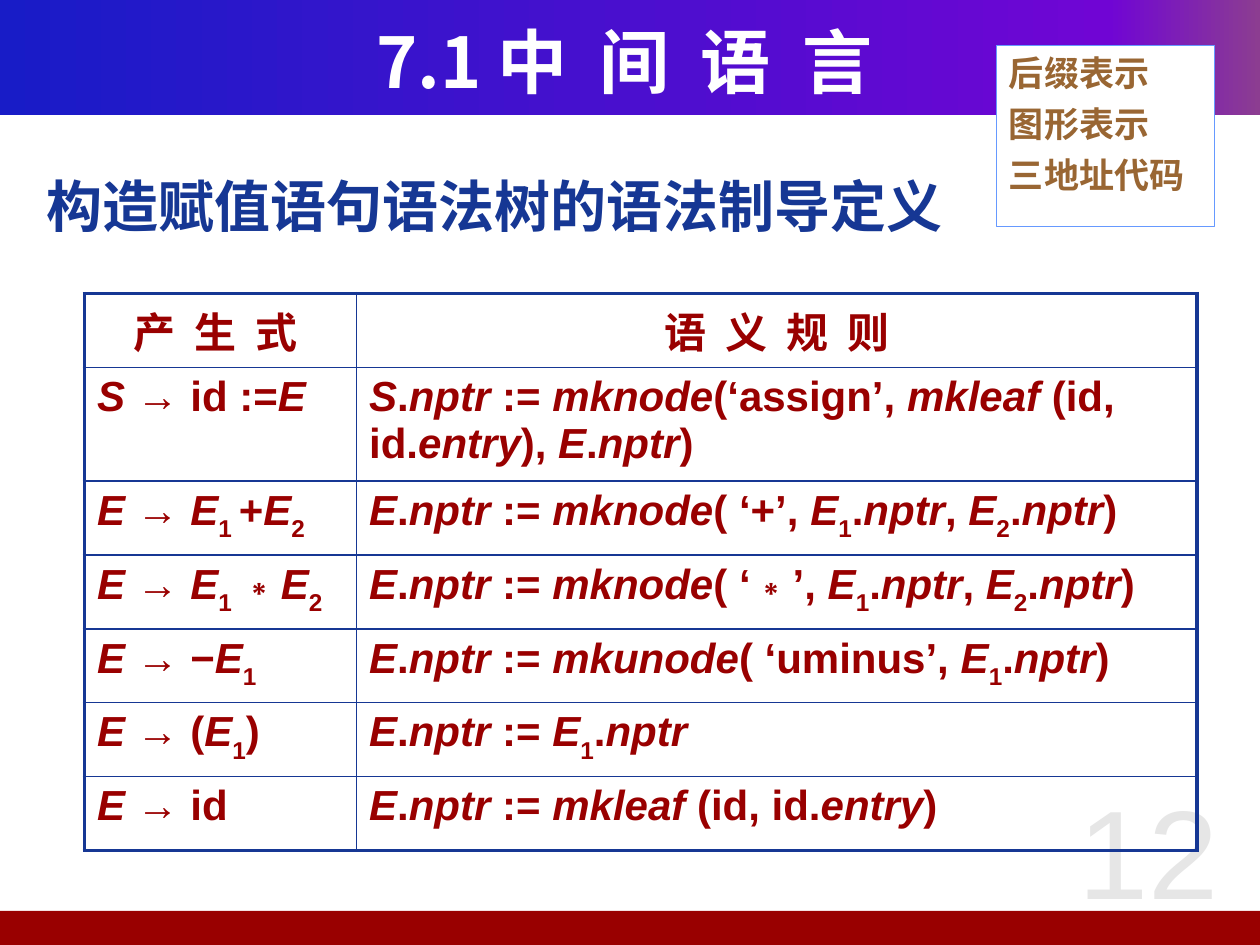
from copy import deepcopy
from lxml import etree
from pptx import Presentation
from pptx.dml.color import RGBColor
from pptx.enum.shapes import MSO_SHAPE
from pptx.enum.text import MSO_ANCHOR, PP_ALIGN
from pptx.oxml.ns import qn
from pptx.util import Inches, Pt

RECT = MSO_SHAPE.RECTANGLE
TOP, MIDDLE = MSO_ANCHOR.TOP, MSO_ANCHOR.MIDDLE
LEFT, CENTER = PP_ALIGN.LEFT, PP_ALIGN.CENTER
CJK, LATIN, SIDE = "Noto Sans CJK SC", "Arial", "Lato"
C = {"white": "FFFFFF", "navy": "163794", "red": "990000", "brown": "996633",
     "grey": "E6E6E6", "sky": "6699FF",
     "band1": "181CC7", "band2": "7005D4", "band3": "8C3D91"}

prs = Presentation()
prs.slide_width, prs.slide_height = Inches(10), Inches(7.5)
U = prs.slide_width // 100  # the slide is a grid of 100 columns by 75 rows
s = prs.slides.add_slide(prs.slide_layouts[5])


def grid(*cells):
    return [int(c * U) for c in cells]


def write(p, text, size, font, color, bold=True, align=LEFT):
    """Add runs: /slashes/ set italics, _underscores_ set subscripts."""
    p.alignment = align
    for i, part in enumerate(text.split("/")):
        for j, piece in enumerate(part.split("_")):
            if not piece:
                continue
            r = p.add_run()
            r.text = piece
            f = r.font
            f.size, f.name, f.bold, f.italic = Pt(size), font, bold, i % 2 == 1
            f.color.rgb = RGBColor.from_string(C[color])
            rPr = f._element
            etree.SubElement(rPr, qn("a:ea")).set("typeface", CJK)
            if j % 2:
                rPr.set("baseline", "-30000")


# Top and bottom bands, behind the title
bands = [s.shapes.add_shape(RECT, *grid(*at))
         for at in [(0, 0, 100, 9.1), (-0.4, 72.3, 100.4, 2.7)]]
for i, band in enumerate(bands):
    band.shadow.inherit = False
    band.line.fill.background()
    s.shapes._spTree.insert(2 + i, band._element)
top, bottom = bands
bottom.fill.solid()
bottom.fill.fore_color.rgb = RGBColor.from_string(C["red"])
top.fill.gradient()
top.fill.gradient_angle = 0
first = top.fill.gradient_stops[0]._gs
first.addnext(deepcopy(first))
for stop, (pos, color) in zip(top.fill.gradient_stops,
                              [(0, "band1"), (0.88, "band2"), (1, "band3")]):
    stop.position = pos
    stop.color.rgb = RGBColor.from_string(C[color])

# Title
title = s.shapes.title
title.left, title.top, title.width, title.height = grid(3.3, 1.7, 92.5, 6.2)
title.text_frame.vertical_anchor = MIDDLE
write(title.text_frame.paragraphs[0], "7.1 中  间  语  言", 40, CJK, "white", align=CENTER)

# Heading and page number
for at, anchor, text, size, font, color, bold, align in [
    ((2.7, 13.1, 94.2, 8), TOP, "构造赋值语句语法树的语法制导定义", 32, CJK, "navy", True, LEFT),
    ((82.3, 60.3, 17.7, 14.2), MIDDLE, "12", 72, LATIN, "grey", False, CENTER),
]:
    tf = s.shapes.add_textbox(*grid(*at)).text_frame
    tf.word_wrap, tf.vertical_anchor = True, anchor
    write(tf.paragraphs[0], text, size, font, color, bold, align)

# Table of productions and semantic rules
ROWS = [
    ("产  生  式 ", "语  义  规  则"),
    ("/S /→ id :=/E/",
     "/S/./nptr/ := /mknode/(‘assign’, /mkleaf /(id, id./entry/),/ E/./nptr/)"),
    ("/E /→ /E/_1 _+/E/_2_",
     "/E/./nptr/ := /mknode/( ‘+’, /E/_1_./nptr/,/ E/_2_./nptr/)"),
    ("/E /→ /E/_1 _∗/E/_2_",
     "/E/./nptr/ := /mknode/( ‘∗’, /E/_1_./nptr/,/ E/_2_./nptr/)"),
    ("/E /→ −/E/_1_", "/E/./nptr/ := /mkunode/( ‘uminus’, /E/_1_./nptr/)"),
    ("/E /→ (/E/_1_)", "/E/./nptr/ := /E/_1_./nptr/"),
    ("/E /→ id", "/E/./nptr/ := /mkleaf /(id, id./entry/)"),
]
last = len(ROWS) - 1
table = s.shapes.add_table(len(ROWS), 2, *grid(6.7, 23.3, 88.3, 44.2)).table
table.first_row = table.horz_banding = False
table.columns[0].width, table.columns[1].width = grid(21.6, 66.7)
for i, texts in enumerate(ROWS):
    table.rows[i].height = grid(9 if i == 1 else 5.87)[0]
    for j, text in enumerate(texts):
        cell = table.cell(i, j)
        write(cell.text_frame.paragraphs[0], text, 24, LATIN if i else CJK, "red",
              align=LEFT if i else CENTER)
        # Thick outer frame, thin inner lines
        outer = {"lnL": j == 0, "lnR": j == 1, "lnT": i == 0, "lnB": i == last}
        tcPr = cell._tc.get_or_add_tcPr()
        for side, thick in outer.items():
            ln = etree.SubElement(tcPr, qn("a:" + side), w=str(Pt(2.25 if thick else 1)))
            fill = etree.SubElement(ln, qn("a:solidFill"))
            etree.SubElement(fill, qn("a:srgbClr"), val=C["navy"])
        cell.fill.background()

# Topic box
topics = s.shapes.add_shape(RECT, *grid(79.1, 3.6, 17.3, 14.4))
topics.shadow.inherit = False
topics.fill.solid()
topics.fill.fore_color.rgb = RGBColor.from_string(C["white"])
topics.line.color.rgb = RGBColor.from_string(C["sky"])
topics.line.width = Pt(0.75)
tf = topics.text_frame
tf.vertical_anchor = TOP
for i, text in enumerate(["后缀表示", "图形表示", "三地址代码"]):
    p = tf.add_paragraph() if i else tf.paragraphs[0]
    if i:
        p.space_before = Pt(5)
    write(p, text, 20, SIDE, "brown")

prs.save("out.pptx")
